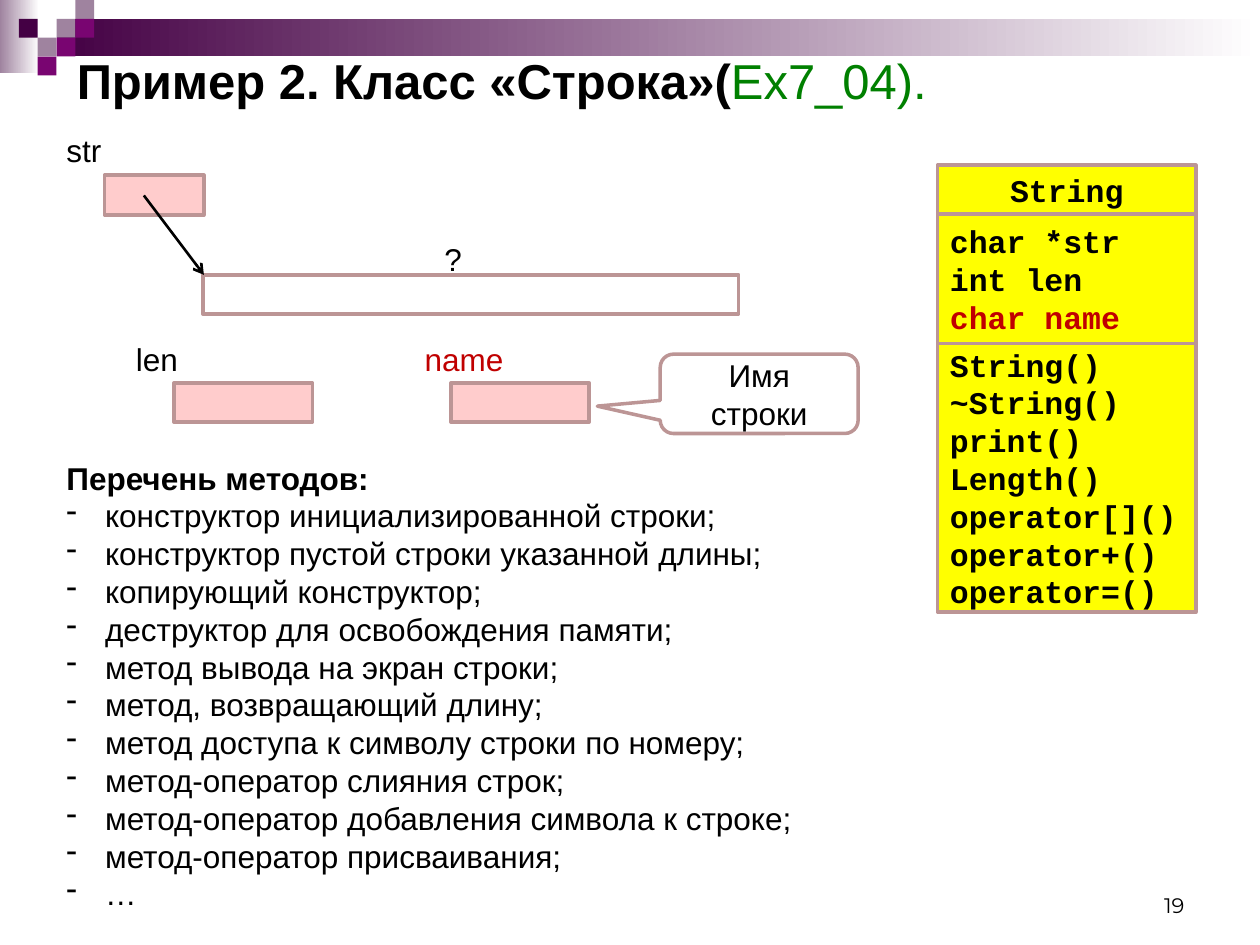
"""Build the slide about the String class: memory layout, class diagram and methods."""
from lxml import etree
from pptx import Presentation
from pptx.dml.color import RGBColor
from pptx.enum.shapes import MSO_CONNECTOR, MSO_SHAPE
from pptx.enum.text import MSO_ANCHOR, PP_ALIGN
from pptx.oxml.ns import qn
from pptx.util import Cm, Pt

RECTANGLE = MSO_SHAPE.RECTANGLE
CALLOUT = MSO_SHAPE.ROUNDED_RECTANGULAR_CALLOUT
STRAIGHT = MSO_CONNECTOR.STRAIGHT
TOP, MIDDLE, BOTTOM = MSO_ANCHOR.TOP, MSO_ANCHOR.MIDDLE, MSO_ANCHOR.BOTTOM
LEFT, CENTER, RIGHT = PP_ALIGN.LEFT, PP_ALIGN.CENTER, PP_ALIGN.RIGHT

BLACK = RGBColor(0x00, 0x00, 0x00)
WHITE = RGBColor(0xFF, 0xFF, 0xFF)
RED = RGBColor(0xC0, 0x00, 0x00)
GREEN = RGBColor(0x00, 0x80, 0x00)
YELLOW = RGBColor(0xFF, 0xFF, 0x00)
PINK = RGBColor(0xFF, 0xCC, 0xCC)
ROSE = RGBColor(0xBC, 0x95, 0x95)
PLUM = RGBColor(0x44, 0x00, 0x44)
PURPLE = RGBColor(0x79, 0x05, 0x71)
LILAC = RGBColor(0x9F, 0x83, 0x9F)


def add_box(place, fill, line=None, kind=RECTANGLE):
    box = page.shapes.add_shape(kind, *[Cm(length) for length in place])
    box.shadow.inherit = False
    box.fill.solid()
    box.fill.fore_color.rgb = fill
    if line is None:
        box.line.fill.background()
    else:
        box.line.color.rgb = line
        box.line.width = Pt(2)
    return box


def write(box, lines, font="Arial", size=18, bold=False, color=BLACK, align=LEFT, anchor=TOP):
    frame = box.text_frame
    frame.word_wrap = True
    frame.vertical_anchor = anchor
    for index, line in enumerate(lines):
        para = frame.add_paragraph() if index else frame.paragraphs[0]
        para.text = line
        para.alignment = align
        para.font.name = font
        para.font.size = Pt(size)
        para.font.bold = bold
        para.font.color.rgb = color
    return frame.paragraphs


deck = Presentation()
deck.slide_width, deck.slide_height = Cm(25.4), Cm(19.05)
page = deck.slides.add_slide(deck.slide_layouts[6])

for place, color in [((0, 0, 0.79, 1.47), LILAC), ((1.14, 0.38, 24.26, 0.76), PLUM)]:
    band = add_box(place, color)
    band.fill.gradient()
    band.fill.gradient_angle = 0
    for stop, stop_color, position in zip(band.fill.gradient_stops, (color, WHITE), (0, 1)):
        stop.color.rgb = stop_color
        stop.position = position

TILE = 0.38
for column, row, color in [
    (3, 1, LILAC), (4, 0, LILAC), (4, 1, PURPLE), (2, 2, LILAC),
    (1, 1, PLUM), (3, 2, PURPLE), (2, 3, PURPLE),
]:
    add_box((column * TILE, row * TILE, TILE, TILE), color)

number_box = page.shapes.add_textbox(Cm(18.21), Cm(17.35), Cm(5.92), Cm(1.27))
write(number_box, ["19"], font="Montserrat", size=12, align=RIGHT, anchor=BOTTOM)

title_box = page.shapes.add_textbox(Cm(1.3), Cm(0.91), Cm(24.1), Cm(1.4))
title = write(title_box, ["Пример 2. Класс «Строка»("], size=28, bold=True, anchor=MIDDLE)[0]
span = title.add_run()
span.text = "Ex7_04)."
span.font.bold = False
span.font.color.rgb = GREEN

for place, fill in [
    ((4.09, 5.54, 10.8, 0.79), WHITE),
    ((2.11, 3.53, 2, 0.81), PINK),
    ((3.51, 7.72, 2.79, 0.79), PINK),
    ((9.09, 7.72, 2.79, 0.79), PINK),
]:
    add_box(place, fill, ROSE)

pointer = page.shapes.add_connector(STRAIGHT, Cm(2.9), Cm(3.94), Cm(4.11), Cm(5.54))
pointer.line.color.rgb = BLACK
pointer.line.width = Pt(1.5)
etree.SubElement(pointer.line._get_or_add_ln(), qn("a:tailEnd"), type="arrow")
etree.SubElement(pointer._element.spPr, qn("a:effectLst"))

for label, left, top, width, color in [
    ("str", 1.09, 2.51, 1.6, BLACK),
    ("len", 2.49, 6.73, 1.6, BLACK),
    ("name", 8.31, 6.73, 2.79, RED),
    ("?", 8.71, 4.72, 1.6, BLACK),
]:
    label_box = page.shapes.add_textbox(Cm(left), Cm(top), Cm(width), Cm(1.02))
    write(label_box, [label], color=color)

METHODS = ["String()", "~String()", "print()", "Length()",
           "operator[]()", "operator+()", "operator=()"]
top = 3.33
for lines, height, align in [
    (["String"], 0.99, CENTER),
    (["char *str", "int len", "char name"], 2.61, LEFT),
    (METHODS, 5.41, LEFT),
]:
    section = add_box((18.9, top, 5.21, height), YELLOW, ROSE)
    paras = write(section, lines, font="Courier New", bold=True, align=align, anchor=MIDDLE)
    if lines[-1] == "char name":
        paras[-1].font.color.rgb = RED
    top += height

list_box = page.shapes.add_textbox(Cm(1.09), Cm(9.12), Cm(15.19), Cm(9.65))
heading, *items = write(list_box, [
    "Перечень методов:",
    "конструктор инициализированной строки;",
    "конструктор пустой строки указанной длины;",
    "копирующий конструктор;",
    "деструктор для освобождения памяти;",
    "метод вывода на экран строки;",
    "метод, возвращающий длину;",
    "метод доступа к символу строки по номеру;",
    "метод-оператор слияния строк;",
    "метод-оператор добавления символа к строке;",
    "метод-оператор присваивания;",
    "…",
])
heading.font.bold = True
for para in items:
    properties = para._p.get_or_add_pPr()
    properties.set("marL", str(Cm(0.78)))
    properties.set("indent", str(Cm(-0.78)))
    bullet = etree.Element(qn("a:buChar"), char="-")
    properties.insert(0, bullet)

callout = add_box((13.31, 7.14, 3.99, 1.6), WHITE, ROSE, CALLOUT)
for index, value in enumerate((-0.818, 0.155, 0.167)):
    callout.adjustments[index] = value
write(callout, ["Имя строки"], align=CENTER, anchor=MIDDLE)

deck.save("out.pptx")
